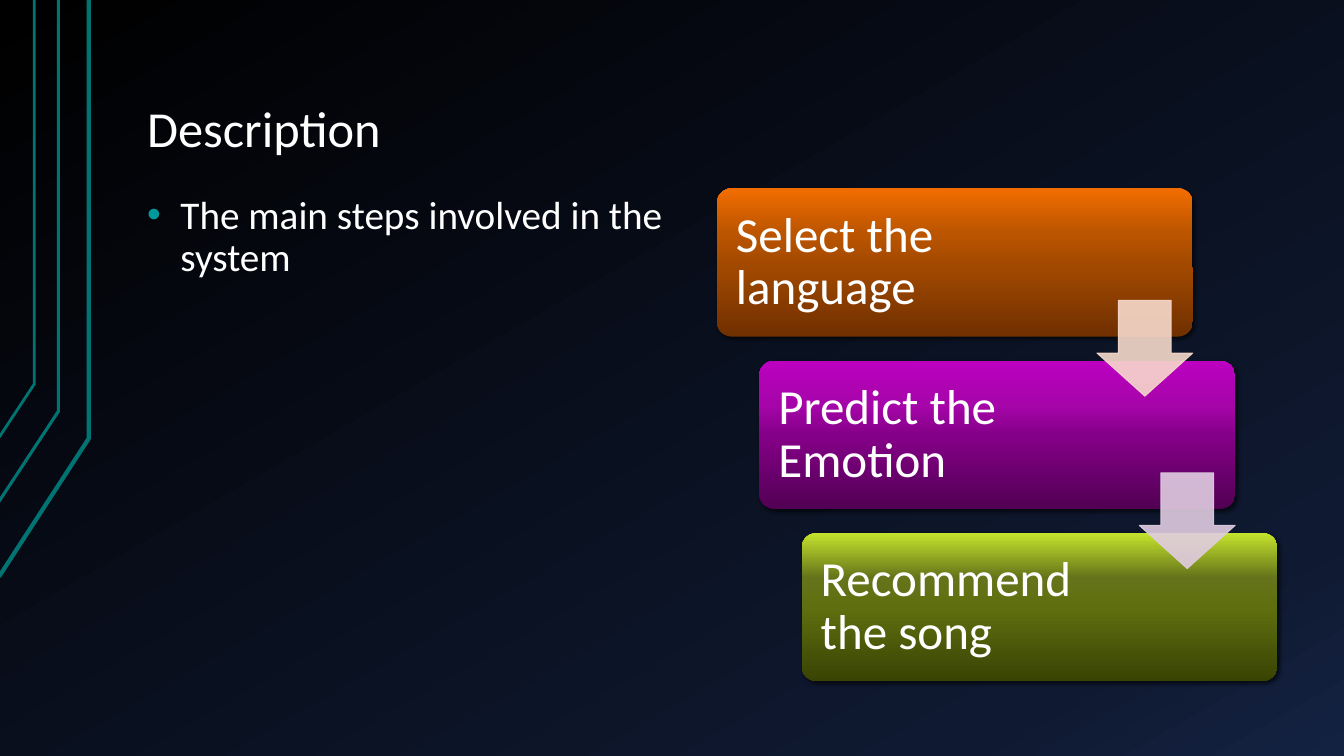
"""Build the Description slide: a three-step staircase beside a short bullet."""
from dataclasses import dataclass

from lxml.etree import SubElement
from pptx import Presentation
from pptx.dml.color import RGBColor as Rgb
from pptx.enum.shapes import MSO_SHAPE as Preset
from pptx.enum.text import MSO_ANCHOR as Anchor, MSO_AUTO_SIZE as AutoSize, PP_ALIGN as Align
from pptx.oxml.ns import qn
from pptx.oxml.xmlchemy import BaseOxmlElement as Element
from pptx.shapes.base import BaseShape
from pptx.slide import Slide
from pptx.text.text import TextFrame, _Paragraph as Paragraph
from pptx.util import Inches, Pt

Stops = tuple[tuple[int, str], ...]


@dataclass(frozen=True)
class Theme:
    """Colours, font and type sizes of the slide."""
    font: str = "Calibri"
    text: str = "FFFFFF"
    bullet: str = "009999"
    rail: str = "007373"
    shadow: str = "000000"
    background: Stops = ((0, "000000"), (85, "0F1931"), (100, "142242"))
    title_size: int = 36
    body_size: int = 28
    step_size: int = 35


@dataclass(frozen=True)
class Rail:
    """A decorative line that drops from the top edge and bends left."""
    start_x: float
    x: float
    bend_y: float
    end_y: float
    weight: float


@dataclass(frozen=True)
class Step:
    """One card of the staircase and the colour of the arrow leaving it."""
    label: str
    label_width: float
    stops: Stops
    arrow: str | None = None


THEME = Theme()
RAILS = (
    Rail(-0.01, 0.88, 4.35, 5.72, 3),
    Rail(-0.02, 0.58, 4.08, 4.99, 2.25),
    Rail(-0.01, 0.34, 3.81, 4.34, 2),
)
STEPS = (
    Step("Select the language", 3.14,
         ((0, "703000"), (50, "A44A00"), (70, "BC5500"), (100, "F26D00")), "F7DACC"),
    Step("Predict the Emotion", 3.27,
         ((0, "520054"), (50, "850088"), (70, "A505A9"), (100, "BC00C0")), "E0CCE1"),
    Step("Recommend the song", 3.27,
         ((0, "394404"), (50, "5F6F0F"), (70, "65741A"), (100, "C4E32D"))),
)
STEP_LEFT, STEP_TOP = 7.11, 1.87
STEP_DX, STEP_DY = 0.42, 1.71
CARD_WIDTH, CARD_HEIGHT = 4.72, 1.47
LABEL_INSET = 0.04
ARROW_DX, ARROW_DY, ARROW_SIZE = 3.77, 1.11, 0.95


def set_gradient(owner: Element, stops: Stops, angle: int) -> None:
    """Replace the stops and angle of the first gradient found in owner."""
    gradient = owner.xpath(".//a:gradFill")[0]
    stop_list = gradient.find(qn("a:gsLst"))
    for old_stop in list(stop_list):
        stop_list.remove(old_stop)
    for position, color in stops:
        stop = SubElement(stop_list, qn("a:gs"), pos=str(position * 1000))
        SubElement(stop, qn("a:srgbClr"), val=color)
    gradient.find(qn("a:lin")).set("ang", str(angle * 60000))


def set_alpha(shape: BaseShape, percent: int) -> None:
    """Make every solid colour of the shape's fill and line translucent."""
    for color in shape._element.spPr.iter(qn("a:srgbClr")):
        SubElement(color, qn("a:alpha"), val=str(percent * 1000))


def add_shadow(shape: BaseShape) -> None:
    """Give the shape a soft shadow to its lower right."""
    shape.shadow.inherit = False
    effects = shape._element.spPr.find(qn("a:effectLst"))
    shadow = SubElement(effects, qn("a:outerShdw"), blurRad=str(Pt(3)), dist=str(Pt(2)),
                        dir=str(45 * 60000), algn="ctr", rotWithShape="0")
    color = SubElement(shadow, qn("a:srgbClr"), val=THEME.shadow)
    SubElement(color, qn("a:alpha"), val="60000")


def write(frame: TextFrame, text: str, size: int, anchor: Anchor,
          inset_x: float, inset_y: float) -> Paragraph:
    """Write one left-aligned paragraph in the theme's type."""
    frame.word_wrap = True
    frame.auto_size = AutoSize.NONE
    frame.vertical_anchor = anchor
    frame.margin_left = frame.margin_right = Inches(inset_x)
    frame.margin_top = frame.margin_bottom = Inches(inset_y)
    frame.text = text
    paragraph = frame.paragraphs[0]
    paragraph.alignment = Align.LEFT
    paragraph.line_spacing = 0.9
    paragraph.font.name = THEME.font
    paragraph.font.size = Pt(size)
    paragraph.font.color.rgb = Rgb.from_string(THEME.text)
    return paragraph


def set_bullet(paragraph: Paragraph) -> None:
    """Hang a coloured bullet in front of the paragraph."""
    properties = paragraph._p.get_or_add_pPr()
    properties.set("marL", str(Inches(0.33)))
    properties.set("indent", str(-Inches(0.33)))
    color = properties.makeelement(qn("a:buClr"))
    SubElement(color, qn("a:srgbClr"), val=THEME.bullet)
    typeface = properties.makeelement(qn("a:buFont"), typeface="Arial")
    character = properties.makeelement(qn("a:buChar"), char="•")
    font_defaults = properties.find(qn("a:defRPr"))
    for part in (color, typeface, character):
        font_defaults.addprevious(part)


def place(shape: BaseShape, left: float, top: float, width: float, height: float) -> None:
    """Move and size a shape, in inches."""
    shape.left, shape.top = Inches(left), Inches(top)
    shape.width, shape.height = Inches(width), Inches(height)


def add_rail(slide: Slide, rail: Rail) -> None:
    """Draw one decorative rail."""
    outline = slide.shapes.build_freeform(Inches(rail.start_x), Inches(rail.end_y))
    outline.add_line_segments([(Inches(rail.x), Inches(rail.bend_y)), (Inches(rail.x), 0)],
                              close=False)
    line = outline.convert_to_shape()
    line.shadow.inherit = False
    line.fill.background()
    line.line.color.rgb = Rgb.from_string(THEME.rail)
    line.line.width = Pt(rail.weight)


def add_step(slide: Slide, step: Step, left: float, top: float) -> None:
    """Draw a step's card and its label."""
    card = slide.shapes.add_shape(Preset.ROUNDED_RECTANGLE, Inches(left), Inches(top),
                                  Inches(CARD_WIDTH), Inches(CARD_HEIGHT))
    card.adjustments[0] = 0.1
    card.fill.gradient()
    set_gradient(card._element, step.stops, 270)
    card.line.fill.background()
    add_shadow(card)
    label = slide.shapes.add_textbox(Inches(left + LABEL_INSET), Inches(top + LABEL_INSET),
                                     Inches(step.label_width),
                                     Inches(CARD_HEIGHT - 2 * LABEL_INSET))
    write(label.text_frame, step.label, THEME.step_size, Anchor.MIDDLE, 0.15, 0.15)


def add_arrow(slide: Slide, color: str, left: float, top: float) -> None:
    """Draw the translucent arrow that leads to the next step."""
    arrow = slide.shapes.add_shape(Preset.DOWN_ARROW, Inches(left), Inches(top),
                                   Inches(ARROW_SIZE), Inches(ARROW_SIZE))
    arrow.adjustments[0], arrow.adjustments[1] = 0.55, 0.45
    arrow.shadow.inherit = False
    arrow.fill.solid()
    arrow.fill.fore_color.rgb = arrow.line.color.rgb = Rgb.from_string(color)
    arrow.line.width = Pt(0.75)
    set_alpha(arrow, 90)


def main() -> None:
    """Build and save the slide."""
    deck = Presentation()
    deck.slide_width, deck.slide_height = Inches(13.33), Inches(7.5)
    slide = deck.slides.add_slide(deck.slide_layouts[1])
    slide.background.fill.gradient()
    set_gradient(slide._element, THEME.background, 60)

    for rail in RAILS:
        add_rail(slide, rail)

    title, body = slide.shapes.title, slide.placeholders[1]
    place(title, 1.33, 0.3, 11.33, 1.34)
    write(title.text_frame, "Description", THEME.title_size, Anchor.BOTTOM, 0.13, 0.07)
    place(body, 1.33, 1.87, 5.55, 4.88)
    summary = write(body.text_frame, "The main steps involved in the system",
                    THEME.body_size, Anchor.TOP, 0.13, 0.07)
    summary.space_before = Pt(16)
    set_bullet(summary)

    corners = [(STEP_LEFT + i * STEP_DX, STEP_TOP + i * STEP_DY) for i in range(len(STEPS))]
    for step, (left, top) in zip(STEPS, corners):
        add_step(slide, step, left, top)
    for step, (left, top) in zip(STEPS, corners):
        if step.arrow:
            add_arrow(slide, step.arrow, left + ARROW_DX, top + ARROW_DY)
    deck.save("out.pptx")


if __name__ == "__main__":
    main()
